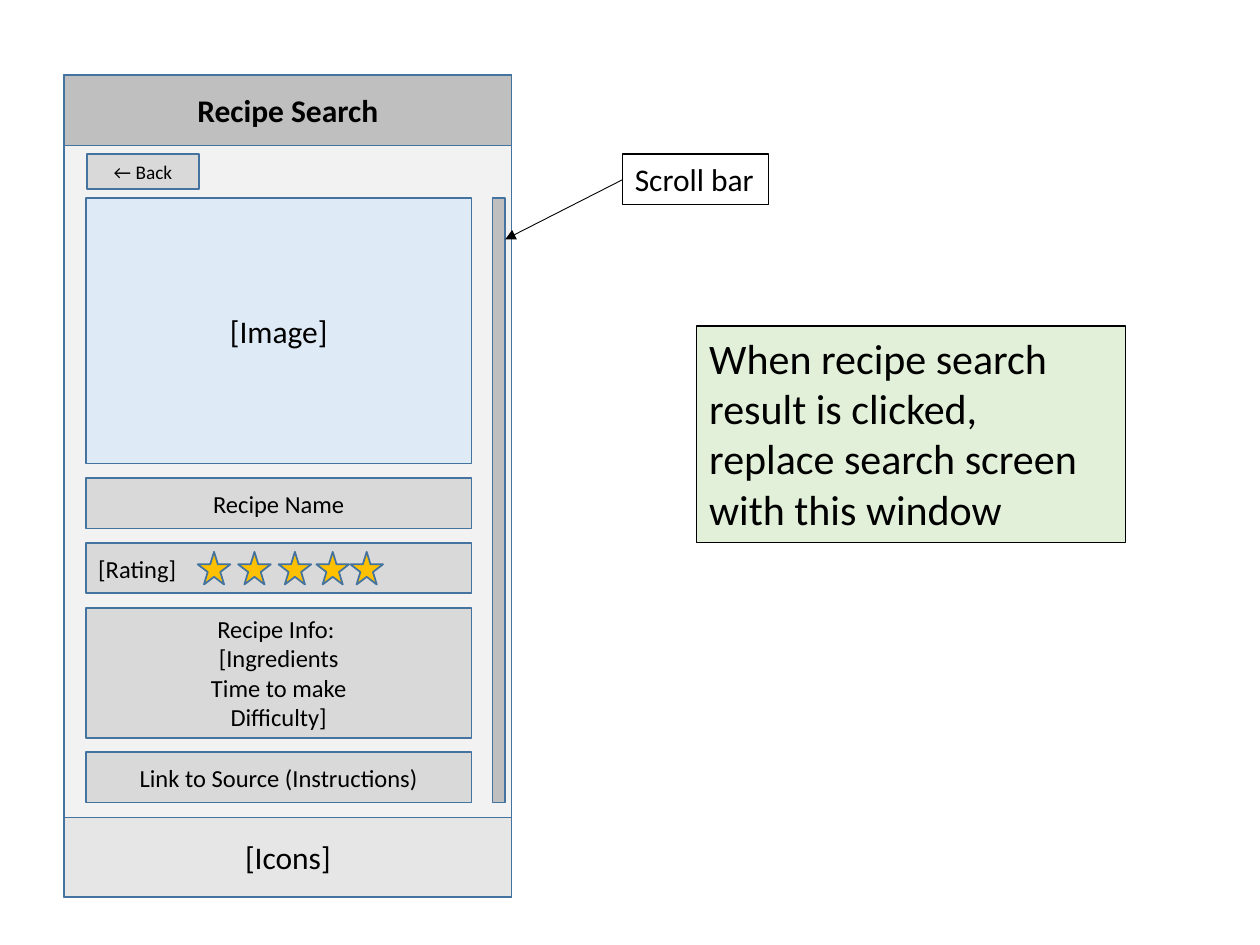
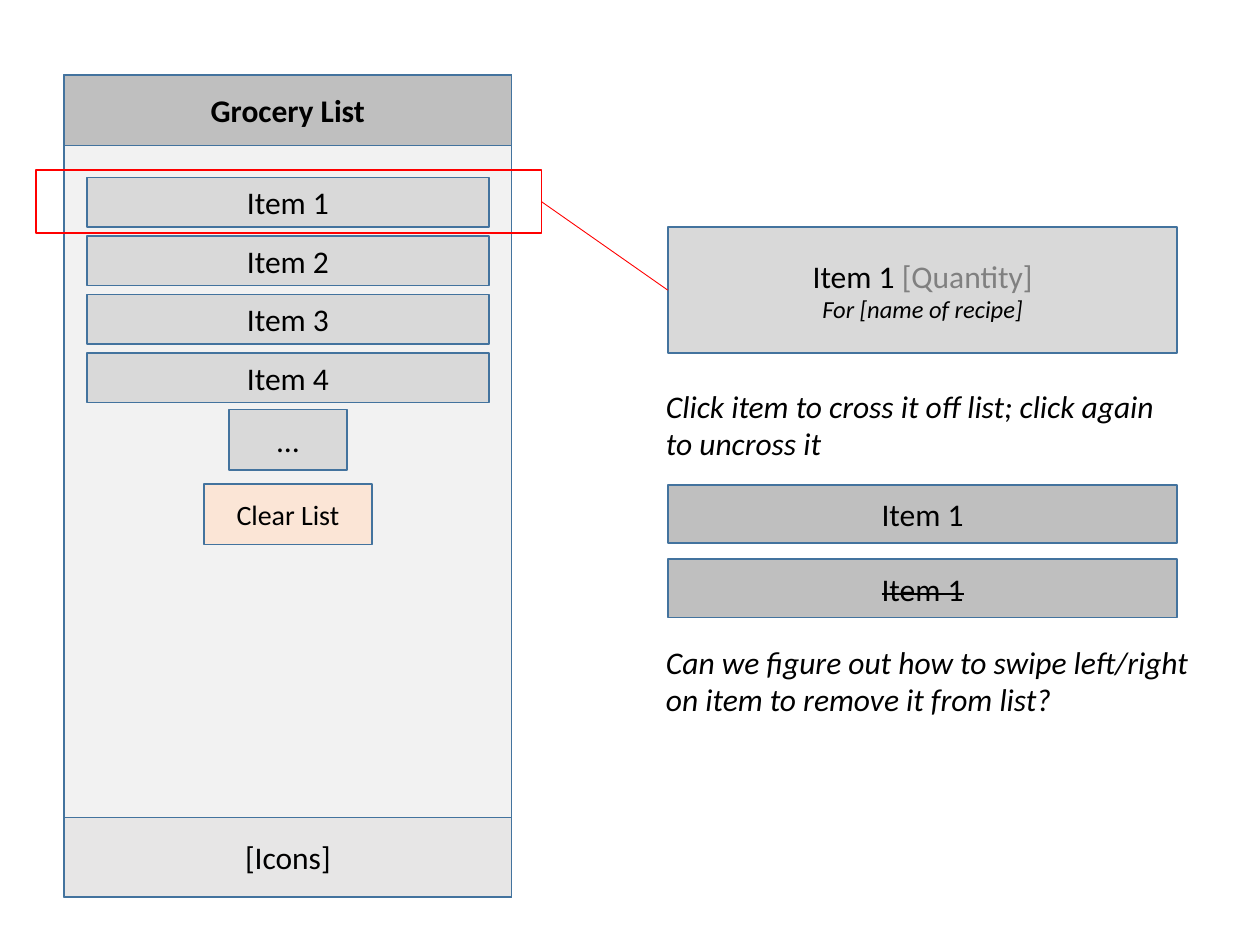
import lxml.etree
import pptx
import pptx.util
import pptx.dml.color
import pptx.enum.shapes
import pptx.enum.text
import pptx.oxml.ns

Pt = pptx.util.Pt
qn = pptx.oxml.ns.qn
RECTANGLE = pptx.enum.shapes.MSO_SHAPE.RECTANGLE
STAR = pptx.enum.shapes.MSO_SHAPE.STAR_5_POINT
LEFT = pptx.enum.text.PP_ALIGN.LEFT
CENTER = pptx.enum.text.PP_ALIGN.CENTER
TOP = pptx.enum.text.MSO_ANCHOR.TOP
MIDDLE = pptx.enum.text.MSO_ANCHOR.MIDDLE
FIT_TEXT = pptx.enum.text.MSO_AUTO_SIZE.SHAPE_TO_FIT_TEXT
NO_FIT = pptx.enum.text.MSO_AUTO_SIZE.NONE

FONT = "Calibri"
COLORS = {
    "ink": "000000",
    "muted": "808080",
    "outline": "43739E",
    "screen": "F2F2F2",
    "bar": "BFBFBF",
    "icons": "E7E6E6",
    "field": "D9D9D9",
    "image": "DEEBF7",
    "note": "E2F0D9",
    "star": "FFC000",
    "clear": "FBE5D6",
    "highlight": "FF0000",
}
PHONE = (36.7, 42.8, 255.6, 469.8)
HEADER_HEIGHT = 40.3
ICONS_HEIGHT = 45.4


def color(name):
    return pptx.dml.color.RGBColor.from_string(COLORS[name])


def paint(shape, fill, line="outline", width=1):
    if fill:
        shape.fill.solid()
        shape.fill.fore_color.rgb = color(fill)
    else:
        shape.fill.background()
    shape.line.color.rgb = color(line)
    shape.line.width = Pt(width)


def style(paragraph, size, align=CENTER, bold=False, italic=False):
    paragraph.alignment = align
    font = paragraph.font
    font.name, font.size = FONT, Pt(size)
    font.bold, font.italic = bold, italic
    font.color.rgb = color("ink")


def write(shape, lines, size=18, align=CENTER, anchor=MIDDLE, bold=False, italic=False):
    frame = shape.text_frame
    frame.word_wrap = True
    frame.vertical_anchor = anchor
    frame.text = "\n".join(lines)
    for paragraph in frame.paragraphs:
        style(paragraph, size, align, bold, italic)


def add_box(slide, box, fill, lines=(), size=18, align=CENTER, geometry=RECTANGLE):
    shape = slide.shapes.add_shape(geometry, *map(Pt, box))
    shape.shadow.inherit = False
    paint(shape, fill)
    if lines:
        write(shape, lines, size, align)
    return shape


def add_callout(slide, box, fill, lines, size, wrap=True):
    shape = add_box(slide, box, fill)
    paint(shape, fill, "ink", 0.75)
    write(shape, lines, size, LEFT, TOP)
    shape.text_frame.word_wrap = wrap
    shape.text_frame.auto_size = FIT_TEXT


def add_remark(slide, box, text):
    shape = slide.shapes.add_textbox(*map(Pt, box))
    write(shape, [text], 18, LEFT, TOP, italic=True)
    shape.text_frame.auto_size = FIT_TEXT


def add_line(slide, start, end, line, arrow=False):
    connector = slide.shapes.add_connector(
        pptx.enum.shapes.MSO_CONNECTOR.STRAIGHT, *map(Pt, start + end))
    connector.line.color.rgb = color(line)
    connector.line.width = Pt(0.5)
    properties = connector.element.spPr
    if arrow:
        lxml.etree.SubElement(properties.find(qn("a:ln")), qn("a:tailEnd"), type="triangle")
    lxml.etree.SubElement(properties, qn("a:effectLst"))


def add_phone(slide, box, title_text):
    left, top, width, height = box
    frame = add_box(slide, box, "screen")
    title = slide.shapes.title
    title.left, title.top, title.width, title.height = map(
        Pt, (left, top, width, HEADER_HEIGHT))
    paint(title, "bar")
    write(title, [title_text], bold=True)
    title.text_frame.auto_size = NO_FIT
    frame.element.addnext(title.element)
    add_box(slide, (left, top + height - ICONS_HEIGHT, width, ICONS_HEIGHT),
            "icons", ["[Icons]"])


def add_rating(slide, box):
    left, top, width, height = box
    add_box(slide, box, "field", ["[Rating] "], 14, LEFT)
    size = 18.7
    for offset in (64, 87.1, 110.2, 131.8, 151.2):
        add_box(slide, (left + offset, top + (height - size) / 2, size, size),
                "star", geometry=STAR)


def add_recipe(slide, box):
    left, top, width, height = box
    info = ["Recipe Info: ", "[Ingredients", "Time to make", "Difficulty]"]
    rows = [
        (152, "image", ["[Image]"], 18),
        (28.8, "field", ["Recipe Name"], 14),
        (28.8, None, None, None),
        (74.2, "field", info, 14),
        (28.8, "field", ["Link to Source (Instructions)"], 14),
    ]
    gap = (height - sum(row[0] for row in rows)) / (len(rows) - 1)
    for row_height, fill, lines, size in rows:
        row_box = (left, top, width, row_height)
        if fill:
            add_box(slide, row_box, fill, lines, size)
        else:
            add_rating(slide, row_box)
        top += row_height + gap


def add_grocery_items(slide, box):
    left, top, width, height = box
    for number in range(4):
        add_box(slide, (left, top + number * 33.4, width, height),
                "field", [f"Item {number + 1}"])
    middle = left + width / 2
    for offset, button_width, fill, text, size in (
            (132.5, 67.7, "field", "…", 18), (175, 95.8, "clear", "Clear List", 16)):
        add_box(slide, (middle - button_width / 2, top + offset, button_width, 34.6),
                fill, [text], size)


def add_item_detail(slide, box):
    shape = add_box(slide, box, "field", ["Item 1 ", "For [name of recipe]"])
    name, recipe = shape.text_frame.paragraphs
    quantity = name.add_run()
    quantity.text = "[Quantity]"
    quantity.font.color.rgb = color("muted")
    style(recipe, 14, italic=True)


def add_item_states(slide, box):
    left, top, width, height = box
    add_box(slide, box, "bar", ["Item 1"])
    crossed = add_box(slide, (left, top + 42.4, width, height), "bar", ["Item 1"])
    run = crossed.text_frame.paragraphs[0].runs[0]
    run._r.get_or_add_rPr().set("strike", "sngStrike")


def build_recipe_slide(slide):
    add_phone(slide, PHONE, "Recipe Search")
    left, top, width, height = PHONE
    add_box(slide, (left, top + HEADER_HEIGHT, width,
                    height - HEADER_HEIGHT - ICONS_HEIGHT), None)
    add_callout(slide, (398.2, 186.2, 244.8, 123.8), "note",
                ["When recipe search result is clicked,",
                 "replace search screen with this window"], 24)
    add_recipe(slide, (49, 113, 220.5, 345.6))
    add_box(slide, (49.7, 88, 64.1, 20.2), "field", ["← Back"], 11)
    add_box(slide, (281.5, 113, 7.2, 345.6), "bar")
    add_callout(slide, (355.7, 88, 83.5, 29), None, ["Scroll bar"], 18, wrap=False)
    add_line(slide, (355.7, 102.7), (288.7, 136.8), "ink", arrow=True)


def build_grocery_slide(slide):
    add_phone(slide, PHONE, "Grocery List")
    add_grocery_items(slide, (49.7, 101.5, 229.7, 28.3))
    add_item_detail(slide, (381.6, 129.8, 291.2, 72))
    paint(add_box(slide, (20.4, 97, 289, 36.3), None), None, "highlight")
    add_line(slide, (309.4, 115.2), (381.6, 165.8), "highlight")
    add_remark(slide, (373.5, 217.4, 299.5, 51),
               "Click item to cross it off list; click again to uncross it")
    add_item_states(slide, (381.6, 277.2, 291.2, 33.3))
    add_remark(slide, (373.5, 363.6, 316.8, 51),
               "Can we figure out how to swipe left/right on item to remove it from list?")


presentation = pptx.Presentation()
presentation.slide_width, presentation.slide_height = Pt(720), Pt(540)
for build in (build_recipe_slide, build_grocery_slide):
    build(presentation.slides.add_slide(presentation.slide_layouts[5]))
presentation.save("out.pptx")
